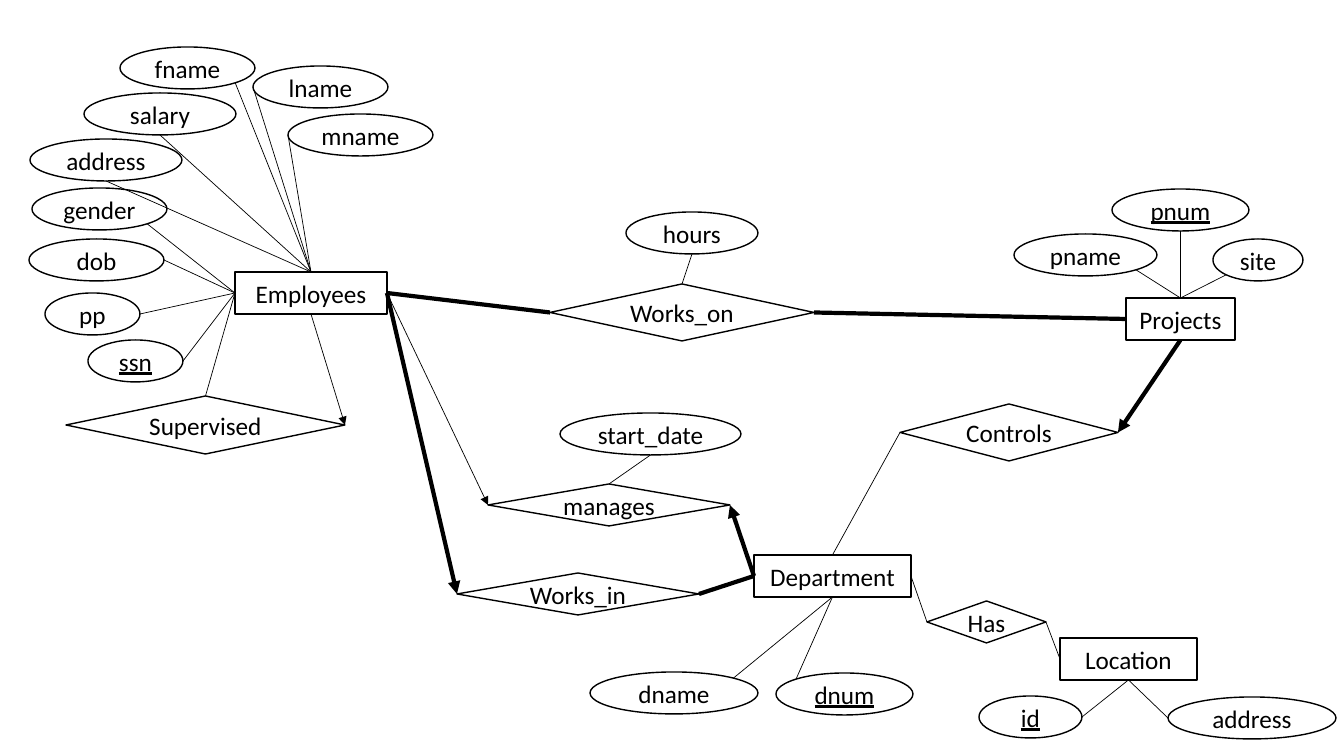
"""Build an entity-relationship diagram of employees, projects and departments."""
import math
from dataclasses import dataclass

import pptx
import pptx.dml.color
import pptx.enum.shapes
import pptx.enum.text
import pptx.oxml.ns
import pptx.util
from lxml import etree

PX = 914400 / 100.8
BLACK, WHITE = "000000", "FFFFFF"
THIN, OUTLINE, THICK = 0.5, 1, 3
SHAPE = pptx.enum.shapes.MSO_SHAPE
ENTITY, ATTRIBUTE, RELATION = SHAPE.RECTANGLE, SHAPE.OVAL, SHAPE.FLOWCHART_DECISION
SITES = {"top": 0, "left": 1, "bottom": 2, "right": 3}
DIAG = math.sqrt(0.5)
DIRECTIONS = {
    "top": (0, -1), "left": (-1, 0), "bottom": (0, 1), "right": (1, 0),
    "top left": (-DIAG, -DIAG), "top right": (DIAG, -DIAG),
    "bottom left": (-DIAG, DIAG), "bottom right": (DIAG, DIAG),
}


@dataclass(frozen=True)
class Node:
    text: str
    left: int
    top: int
    width: int
    height: int = 42


@dataclass(frozen=True)
class Attribute(Node):
    side: str = "bottom"
    owner: str = ""
    owner_side: str = "top"
    key: bool = False


@dataclass(frozen=True)
class Link:
    start: str
    start_side: str
    end: str
    end_side: str
    weight: float = THIN
    arrow: bool = False


ENTITIES = [
    Node("Employees", 235, 272, 152),
    Node("Department", 754, 555, 157),
    Node("Location", 1060, 638, 137),
    Node("Projects", 1126, 298, 109),
]

RELATIONS = [
    Node("Supervised", 66, 396, 279, 58),
    Node("Has", 927, 601, 119),
    Node("Works_in", 457, 573, 242),
    Node("manages", 488, 484, 242),
    Node("Controls", 900, 404, 218, 57),
    Node("Works_on", 550, 284, 264, 57),
]

ATTRIBUTES = [
    Attribute("ssn", 88, 340, 95, side="right", owner="Employees", owner_side="left", key=True),
    Attribute("fname", 120, 47, 135, side="bottom right", owner="Employees"),
    Attribute("lname", 253, 66, 135, side="left", owner="Employees"),
    Attribute("mname", 288, 114, 145, side="left", owner="Employees"),
    Attribute("dob", 29, 239, 135, side="right", owner="Employees", owner_side="left"),
    Attribute("gender", 32, 188, 135, side="bottom right", owner="Employees", owner_side="left"),
    Attribute("address", 30, 139, 152, owner="Employees"),
    Attribute("salary", 84, 93, 152, owner="Employees"),
    Attribute("pp", 45, 293, 95, side="right", owner="Employees", owner_side="left"),
    Attribute("dname", 590, 672, 168, side="top right", owner="Department", owner_side="bottom"),
    Attribute("dnum", 776, 673, 137, side="top left", owner="Department", owner_side="bottom", key=True),
    Attribute("id", 979, 696, 103, side="right", owner="Location", owner_side="bottom", key=True),
    Attribute("address", 1168, 697, 168, side="left", owner="Location", owner_side="bottom"),
    Attribute("start_date", 560, 413, 181, owner="manages"),
    Attribute("pname", 1014, 234, 143, side="bottom right", owner="Projects"),
    Attribute("pnum", 1112, 189, 137, owner="Projects", key=True),
    Attribute("site", 1213, 239, 90, side="bottom left", owner="Projects"),
    Attribute("hours", 626, 212, 132, owner="Works_on"),
]

LINKS = [
    Link("Supervised", "top", "Employees", "left"),
    Link("Employees", "bottom", "Supervised", "right", arrow=True),
    Link("Department", "right", "Has", "left"),
    Link("Has", "right", "Location", "left"),
    Link("Employees", "right", "Works_in", "left", THICK, True),
    Link("Works_in", "right", "Department", "left", THICK),
    Link("Department", "left", "manages", "right", THICK, True),
    Link("Employees", "right", "manages", "left", arrow=True),
    Link("Department", "top", "Controls", "left"),
    Link("Projects", "bottom", "Controls", "right", THICK, True),
    Link("Employees", "right", "Works_on", "left", THICK),
    Link("Works_on", "right", "Projects", "left", THICK),
]


def emu(px: float) -> int:
    """Turn pixels into EMU."""
    return round(px * PX)


def rgb(value: str) -> pptx.dml.color.RGBColor:
    """Turn a hex string into a colour."""
    return pptx.dml.color.RGBColor.from_string(value)


def apply(target, values: dict) -> None:
    """Set every attribute in values on target."""
    for name, value in values.items():
        setattr(target, name, value)


def draw_node(slide, node: Node, kind):
    """Draw a labelled node and return its shape."""
    sp = slide.shapes.add_shape(kind, *map(emu, (node.left, node.top, node.width, node.height)))
    sp.shadow.inherit = False
    sp.fill.solid()
    sp.fill.fore_color.rgb = rgb(WHITE)
    sp.line.color.rgb = rgb(BLACK)
    sp.line.width = pptx.util.Pt(OUTLINE)
    tf = sp.text_frame
    apply(tf, {"word_wrap": True, "vertical_anchor": pptx.enum.text.MSO_ANCHOR.MIDDLE})
    p = tf.paragraphs[0]
    p.alignment = pptx.enum.text.PP_ALIGN.CENTER
    r = p.add_run()
    r.text = node.text
    apply(r.font, {"name": "Calibri", "size": pptx.util.Pt(18),
                   "underline": getattr(node, "key", False)})
    r.font.color.rgb = rgb(BLACK)
    return sp


def draw_line(slide, weight: float, arrow: bool = False, start: tuple = (0, 0)):
    """Draw a black connector from start and return it for attaching."""
    cxn = slide.shapes.add_connector(pptx.enum.shapes.MSO_CONNECTOR.STRAIGHT, *start, *start)
    cxn.line.color.rgb = rgb(BLACK)
    cxn.line.width = pptx.util.Pt(weight)
    props = cxn.line.color and cxn._element.spPr
    if arrow:
        ln = props.find(pptx.oxml.ns.qn("a:ln"))
        etree.SubElement(ln, pptx.oxml.ns.qn("a:tailEnd"), type="triangle")
    etree.SubElement(props, pptx.oxml.ns.qn("a:effectLst"))
    return cxn


def rim(node: Attribute) -> tuple:
    """Return the point where an attribute's line leaves its ellipse."""
    dx, dy = DIRECTIONS[node.side]
    return (emu(node.left + node.width * (1 + dx) / 2),
            emu(node.top + node.height * (1 + dy) / 2))


def main() -> None:
    """Build and save the slide."""
    prs = pptx.Presentation()
    apply(prs, {"slide_width": emu(1344), "slide_height": emu(756)})
    slide = prs.slides.add_slide(prs.slide_layouts[6])
    boxes = {}
    for kind, nodes in ((ENTITY, ENTITIES), (RELATION, RELATIONS)):
        for node in nodes:
            boxes[node.text] = draw_node(slide, node, kind)
    for node in ATTRIBUTES:
        draw_node(slide, node, ATTRIBUTE)
    for node in ATTRIBUTES:
        cxn = draw_line(slide, THIN, start=rim(node))
        cxn.end_connect(boxes[node.owner], SITES[node.owner_side])
    for link in LINKS:
        cxn = draw_line(slide, link.weight, link.arrow)
        cxn.begin_connect(boxes[link.start], SITES[link.start_side])
        cxn.end_connect(boxes[link.end], SITES[link.end_side])
    prs.save("out.pptx")


main()
